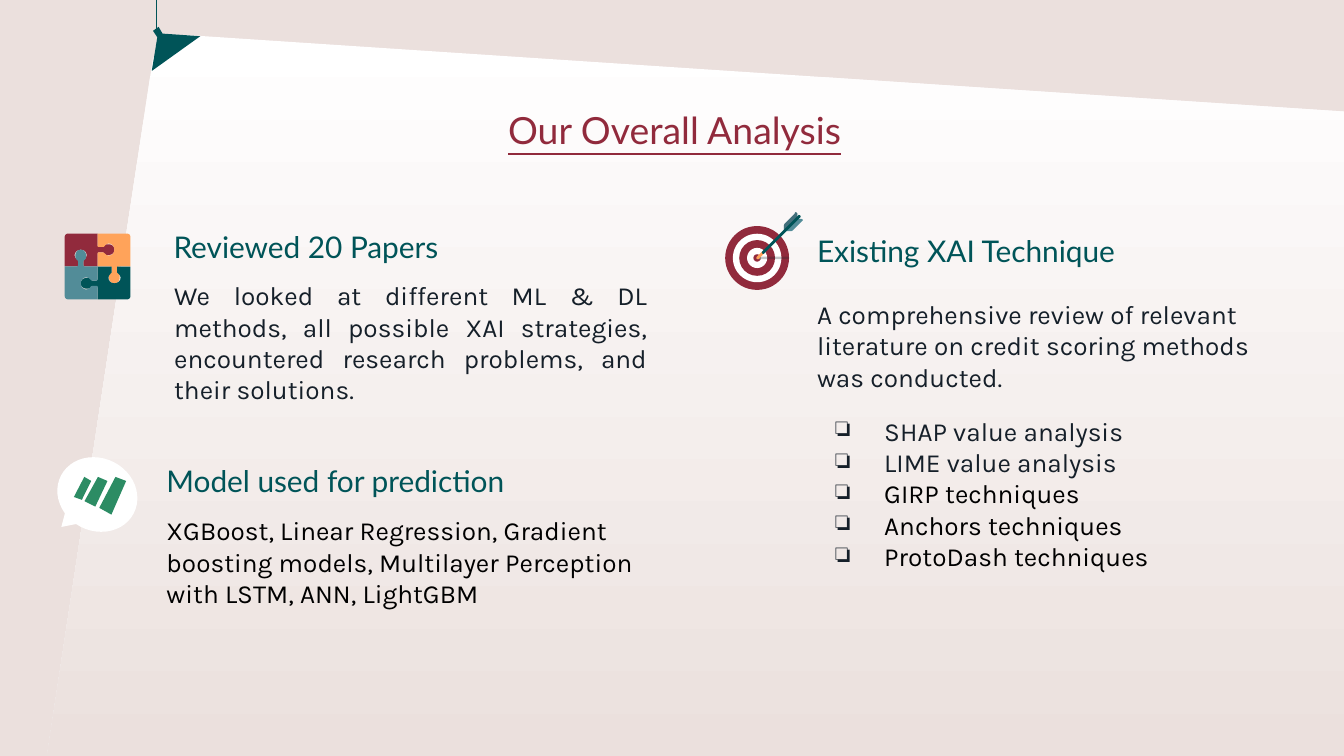
from lxml import etree
from pptx import Presentation
from pptx import util as u
from pptx.dml.color import RGBColor
from pptx.enum import shapes, text
from pptx.oxml.ns import qn

Pt = u.Pt
MAROON, TEAL, BLUE, ORANGE = "912A3C", "005458", "528C98", "FFA35A"
INK, BLACK, WHITE, BLUSH, GREEN, GREY = "151F29", "000000", "FFFFFF", "EBE0DD", "2C8C64", "828282"

# Two numbers are a straight step, six are a Bezier curve.
PUZZLE_PIECE = [
    (0, -49), (-43, -49), (-47, -49, -49, -47, -49, -43), (-49, -2),
    (-49, 0, -49, 0, -47, 0), (-31, 0), (-29, 0, -29, 0, -29, -3), (-29, -7),
    (-29, -9, -29, -9, -30, -10), (-38, -15, -34, -25, -25, -25),
    (-16, -25, -13, -15, -20, -10), (-21, -9, -21, -9, -21, -7), (-21, -3),
    (-21, 0, -21, 0, -18, 0), (0, 0), (0, -17), (0, -19, 0, -21, 2, -21), (6, -21),
    (8, -21, 9, -21, 10, -19), (12, -17, 14, -17, 16, -17), (20, -17, 25, -19, 25, -25),
    (25, -31, 20, -33, 16, -33), (14, -33, 12, -33, 10, -31), (9, -29, 8, -29, 6, -29),
    (2, -29), (0, -29, 0, -31, 0, -33)]
FEATHER_LEFT = [(29, -34), (29, -34, 28, -34, 28, -33), (21, -26),
                (21, -26, 20, -25, 20, -24), (20, -20)]
FEATHER_RIGHT = [(25, -20), (26, -20, 26, -20, 27, -21), (34, -28),
                 (34, -28, 34, -29, 33, -29)]
FEATHER_NOTCH = [(30, -29), (30, -33), (30, -33, 29, -34, 29, -34)]
DART_TIP = [(4, -5), (0, -1), (-1, 0, 0, 1, 0, 1), (1, 1, 1, 1, 1, 1), (6, -4)]
DART_SHAFT = [(31, -32), (4, -5), (3, -4, 4, -3, 5, -3), (32, -30), (33, -31, 32, -32, 31, -32)]


def rgb(color):
    return RGBColor.from_string(color)


def paint(sp, color, alpha=None):
    sp.shadow.inherit = False
    sp.line.fill.background()
    sp.fill.solid()
    sp.fill.fore_color.rgb = rgb(color)
    if alpha is not None:
        clr = sp.fill._xPr.find(qn("a:solidFill"))[0]
        etree.SubElement(clr, qn("a:alpha"), val=str(alpha * 1000))
    return sp


def flatten(steps, n=6):
    """Turn straight and curved steps into plain points."""
    pts = []
    for step in steps:
        if len(step) == 2:
            pts.append(step)
            continue
        ctrl = [pts[-1], step[:2], step[2:4], step[4:]]
        for i in range(1, n + 1):
            t = i / n
            weights = ((1 - t) ** 3, 3 * t * (1 - t) ** 2, 3 * t * t * (1 - t), t ** 3)
            pts.append(tuple(sum(w * c[k] for w, c in zip(weights, ctrl)) for k in (0, 1)))
    return pts


def outline(parent, steps, color, x=0, y=0, unit=1, turns=0, alpha=None):
    """Draw a closed outline about (x, y), turned clockwise by quarter turns."""
    pts = flatten(steps)
    for _ in range(turns):
        pts = [(-b, a) for a, b in pts]
    pts = [(Pt(x + a * unit), Pt(y + b * unit)) for a, b in pts]
    builder = parent.build_freeform(*pts[0], scale=1.0)
    builder.add_line_segments(pts[1:], close=True)
    return paint(builder.convert_to_shape(), color, alpha)


def preset(parent, kind, x, y, w, h, color, alpha=None):
    return paint(parent.add_shape(kind, Pt(x), Pt(y), Pt(w), Pt(h)), color, alpha)


def write(p, words, font="Karla", size=14, color=INK, underline=None,
          align=text.PP_ALIGN.LEFT, before=0):
    p.alignment = align
    p.space_before = Pt(before)
    r = p.add_run()
    r.text = words
    r.font.name, r.font.size, r.font.underline = font, Pt(size), underline
    r.font.color.rgb = rgb(color)


def textbox(s, x, y, w, h):
    tf = s.shapes.add_textbox(Pt(x), Pt(y), Pt(w), Pt(h)).text_frame
    tf.word_wrap = True
    tf.margin_left = tf.margin_right = tf.margin_top = tf.margin_bottom = Pt(7.2)
    return tf


def line_of_text(s, x, y, w, h, words, **fmt):
    write(textbox(s, x, y, w, h).paragraphs[0], words, **fmt)


def heading(s, x, y, w, words):
    line_of_text(s, x, y, w, 34, words, font="Lato", size=16, color=TEAL)


def bullet(p):
    pPr = p._p.get_or_add_pPr()
    pPr.set("marL", str(Pt(36)))
    pPr.set("indent", str(-Pt(26)))
    clr = etree.SubElement(pPr, qn("a:buClr"))
    etree.SubElement(clr, qn("a:srgbClr"), val=INK)
    etree.SubElement(pPr, qn("a:buChar"), char="❏")


def hanging_sheet(s, w, h):
    sheet = outline(s.shapes, [(98.6, 18.7), (w, 59.8), (w, h), (25.2, h), (82, 31)], WHITE)
    sheet.fill.gradient()
    sheet.fill.gradient_angle = 270
    for stop, color in zip(sheet.fill.gradient_stops, (WHITE, BLUSH)):
        stop.color.rgb = rgb(color)
    clip = s.shapes.add_group_shape().shapes
    outline(clip, [(82, 16.5), (84.3, 20), (81.3, 38), (107.3, 19.4), (87.1, 18), (85, 14.4)], TEAL)
    thread = clip.add_connector(shapes.MSO_CONNECTOR.STRAIGHT, Pt(83.7), 0, Pt(83.7), Pt(16.6))
    thread.line.color.rgb = rgb(TEAL)
    thread.line.width = Pt(0.75)
    etree.SubElement(thread._element.spPr, qn("a:effectLst"))


def target_icon(s, cx, cy):
    g = s.shapes.add_group_shape().shapes
    rings = [(34.2, MAROON), (26, WHITE), (19.2, MAROON), (10.8, WHITE), (4, MAROON)]
    for d, color in rings:
        preset(g, shapes.MSO_SHAPE.OVAL, cx - d / 2, cy - d / 2, d, d, color)
        last = d == rings[-1][0]
        preset(g, shapes.MSO_SHAPE.RECTANGLE, cx, cy - 0.7, d / 2, 1.4,
               GREY if last else INK, None if last else 26)
    for steps, color, alpha in ((FEATHER_LEFT + FEATHER_RIGHT + FEATHER_NOTCH, BLUE, None),
                                (FEATHER_LEFT + FEATHER_NOTCH, INK, 26),
                                (DART_TIP, ORANGE, None), (DART_SHAFT, TEAL, None)):
        outline(g, steps, color, cx, cy, 0.72, alpha=alpha)


def puzzle_icon(s, cx, cy):
    g = s.shapes.add_group_shape().shapes
    for turns, color in enumerate((MAROON, ORANGE, TEAL, BLUE)):
        outline(g, PUZZLE_PIECE, color, cx, cy, 0.36, turns)


def speech_icon(s, x, y):
    g = s.shapes.add_group_shape().shapes
    bubble = preset(g, shapes.MSO_SHAPE.OVAL_CALLOUT, x, y, 43.9, 38.9, WHITE)
    bubble.adjustments[0], bubble.adjustments[1] = -0.208, 0.625
    bubble.rotation = 27.4
    for bar in ([(15, 10), (9.4, 20.8), (13.7, 22.3), (18.7, 12.2)],
                [(22.3, 10), (15.1, 23), (20.9, 25.9), (27.4, 12.2)],
                [(37.4, 12.2), (31.7, 10), (23, 26.6), (29.5, 30.2)]):
        outline(g, bar, GREEN, x, y)


def techniques(s, x, y, w):
    heading(s, x, y, w, "Existing XAI Technique")
    tf = textbox(s, x, y + 35.3, w, 179)
    write(tf.paragraphs[0], "A comprehensive review of relevant literature on credit scoring "
          "methods was conducted.")
    items = [("SHAP value analysis", INK), ("LIME value analysis", INK),
             ("GIRP techniques", BLACK), ("Anchors techniques", BLACK),
             ("ProtoDash techniques", BLACK)]
    for i, (words, color) in enumerate(items):
        p = tf.add_paragraph()
        bullet(p)
        write(p, words, color=color, before=0 if i else 12)


def main():
    prs = Presentation()
    prs.slide_width, prs.slide_height = Pt(720), Pt(405)
    s = prs.slides.add_slide(prs.slide_layouts[6])
    s.background.fill.solid()
    s.background.fill.fore_color.rgb = rgb(BLUSH)
    hanging_sheet(s, 720, 405)
    line_of_text(s, 58.3, 50.4, 606.2, 39, "Our Overall Analysis", font="Lato", size=20,
                 color=MAROON, underline=True, align=text.PP_ALIGN.CENTER)
    heading(s, 82.1, 240.5, 252.7, "Model used for prediction")
    line_of_text(s, 82.1, 268.6, 286.6, 77.8, "XGBoost, Linear Regression, Gradient boosting "
                 "models, Multilayer Perception with LSTM, ANN, LightGBM", color=BLACK)
    techniques(s, 430.6, 117.4, 258.5)
    heading(s, 85.9, 115.2, 234, "Reviewed 20 Papers")
    line_of_text(s, 86.2, 142.6, 267.8, 94.3, "We looked at different ML & DL methods, all "
                 "possible XAI strategies, encountered research problems, and their solutions.",
                 align=text.PP_ALIGN.JUSTIFY)
    target_icon(s, 405.6, 138.2)
    puzzle_icon(s, 52.3, 142.8)
    speech_icon(s, 30.2, 245.5)
    prs.save("out.pptx")


if __name__ == "__main__":
    main()
